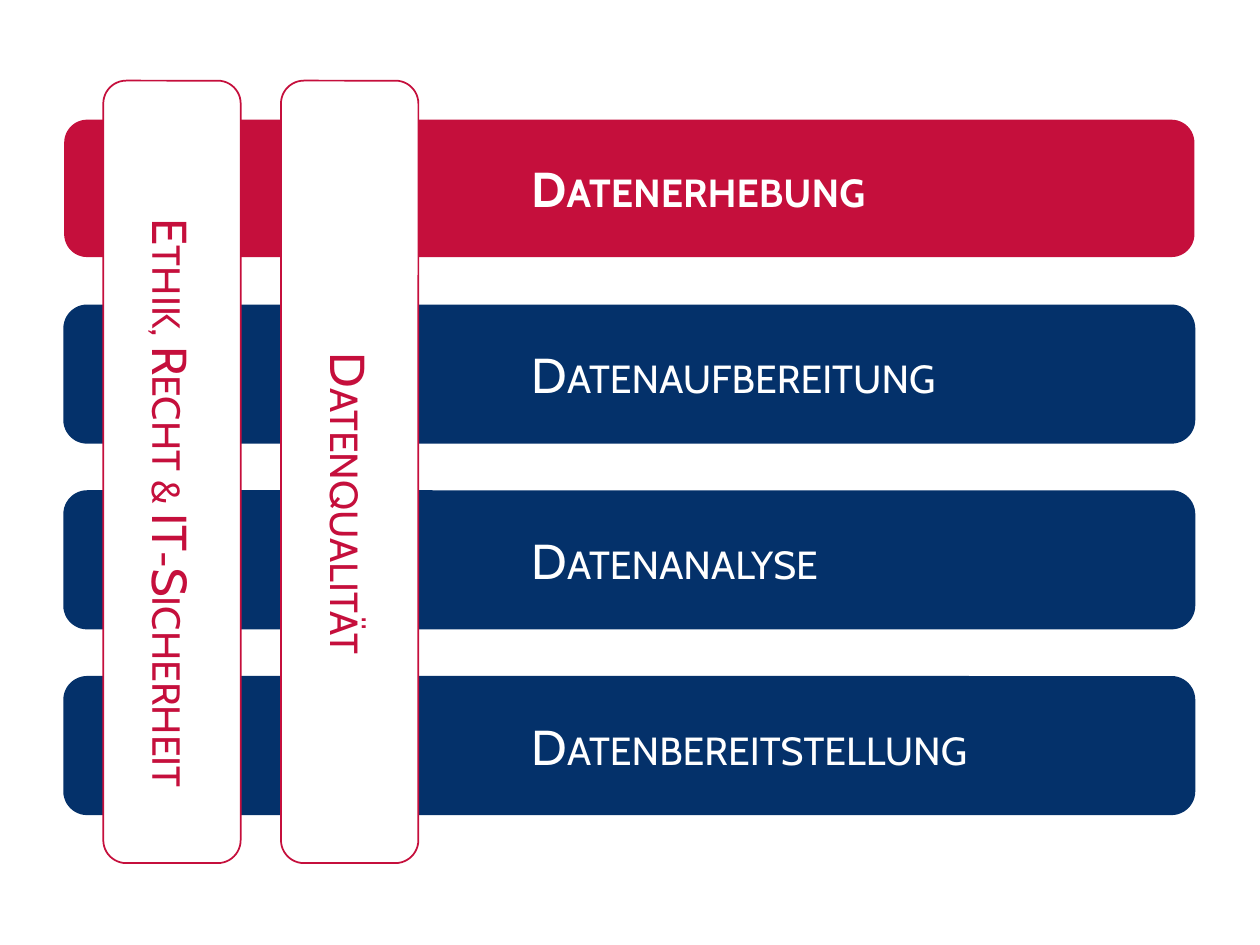
import pptx
import pptx.util
import pptx.dml.color
import pptx.enum.shapes
import pptx.enum.text

Inches, Pt = pptx.util.Inches, pptx.util.Pt
RGBColor = pptx.dml.color.RGBColor
MSO_SHAPE = pptx.enum.shapes.MSO_SHAPE
PP_ALIGN = pptx.enum.text.PP_ALIGN
MSO_ANCHOR = pptx.enum.text.MSO_ANCHOR

RED = RGBColor(0xC5, 0x0F, 0x3C)
NAVY = RGBColor(0x04, 0x31, 0x6A)
WHITE = RGBColor(0xFF, 0xFF, 0xFF)

STAGES = ["Datenerhebung", "Datenaufbereitung", "Datenanalyse", "Datenbereitstellung"]
PILLARS = ["Ethik, Recht & IT-Sicherheit", "Datenqualität"]
BAR_H = 1.09


def add_box(s, x, y, w, h, fill, line):
    """Add a rounded box; line may be None."""
    sp = s.shapes.add_shape(MSO_SHAPE.ROUNDED_RECTANGLE,
                            Inches(x), Inches(y), Inches(w), Inches(h))
    sp.shadow.inherit = False
    sp.fill.solid()
    sp.fill.fore_color.rgb = fill
    if line is None:
        sp.line.fill.background()
    else:
        sp.line.color.rgb = line
        sp.line.width = Pt(1)
    return sp


def write_label(sp, text, color, align, bold=False):
    """Write one small-caps paragraph into a shape and return it."""
    tf = sp.text_frame
    tf.word_wrap = True
    tf.vertical_anchor = MSO_ANCHOR.MIDDLE
    p = tf.paragraphs[0]
    p.alignment = align
    r = p.add_run()
    r.text = text
    for name, value in {"name": "Cabin", "size": Pt(28), "bold": bold}.items():
        setattr(r.font, name, value)
    r.font.color.rgb = color
    r.font._element.set("cap", "small")
    return p


def add_stage_bar(s, x, y, w, fill, line):
    """Add the horizontal bar of one stage."""
    add_box(s, x, y, w, BAR_H, fill, line)


def add_stage_label(s, x, y, text, bold):
    """Add the label of the stage bar whose corner is given."""
    sp = s.shapes.add_textbox(Inches(x + 3.61), Inches(y + 0.26), Inches(4.43), Inches(0.57))
    write_label(sp, text, WHITE, PP_ALIGN.LEFT, bold)
    sp.text_frame.auto_size = pptx.enum.text.MSO_AUTO_SIZE.SHAPE_TO_FIT_TEXT


def add_pillar(s, x, y, w, h, text):
    """Add a vertical pillar, turned clockwise, in the box it fills."""
    sp = add_box(s, x + (w - h) / 2, y + (h - w) / 2, h, w, WHITE, RED)
    sp.rotation = 90
    p = write_label(sp, text, RED, PP_ALIGN.CENTER)
    pPr = p._p.get_or_add_pPr()
    pPr.set("marL", "0")
    pPr.set("indent", str(Inches(0.5)))


def build():
    """Build the slide and save it."""
    prs = pptx.Presentation()
    prs.slide_width, prs.slide_height = Inches(10), Inches(7.5)
    s = prs.slides.add_slide(prs.slide_layouts[6])
    left, tops = 0.51, [0.95 + 1.474 * i for i in range(len(STAGES))]
    for i, y in enumerate(tops):
        add_stage_bar(s, left, y, 8.97, NAVY if i else RED, NAVY if i else None)
    for i, text in enumerate(PILLARS):
        add_pillar(s, 0.82 + 1.41 * i, 0.64, BAR_H, 6.21, text)
    for i, (y, text) in enumerate(zip(tops, STAGES)):
        add_stage_label(s, left, y, text, i == 0)
    prs.save("out.pptx")


build()
